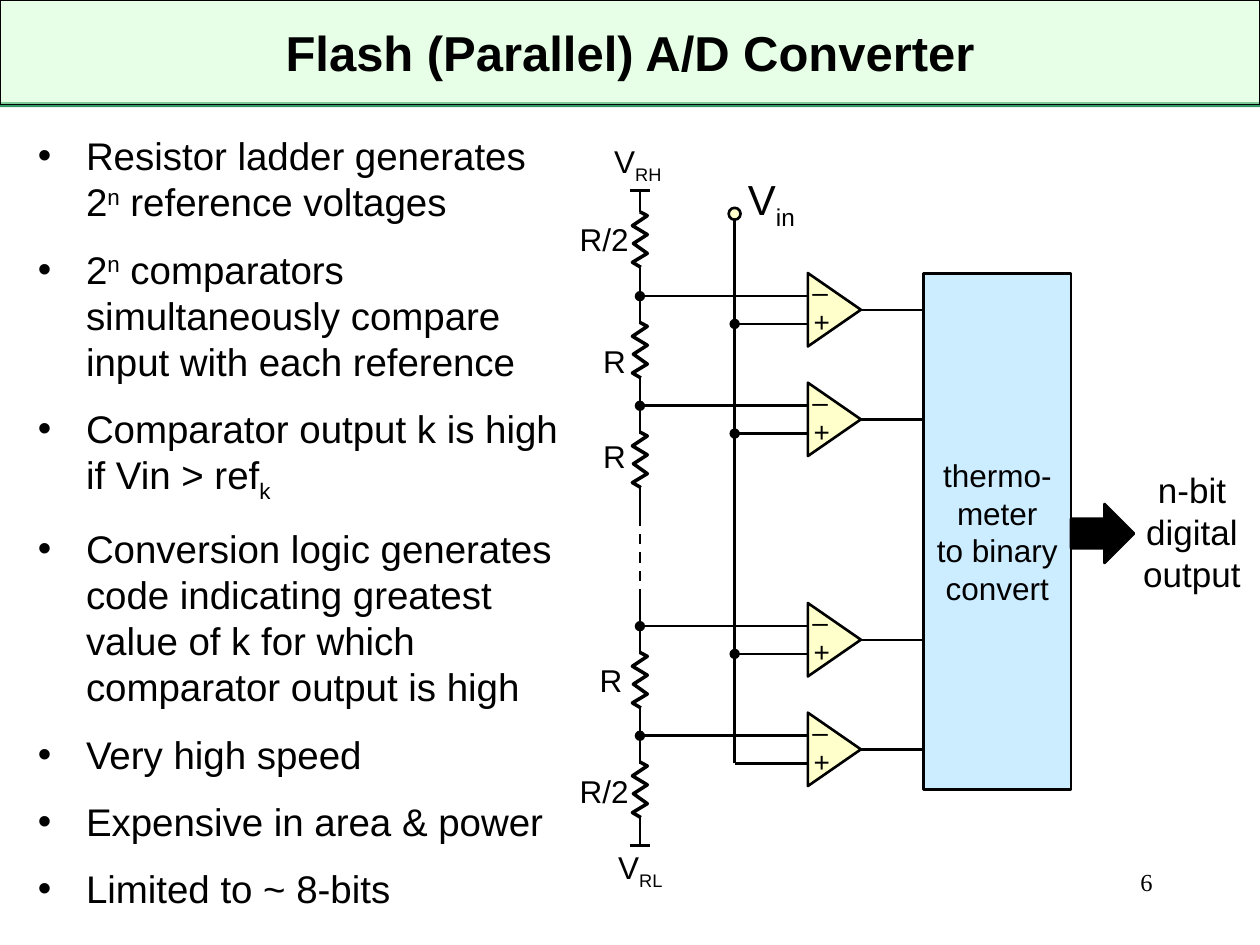
import pptx
import pptx.util
import pptx.dml.color
import pptx.enum.dml
import pptx.enum.shapes
import pptx.enum.text
import pptx.oxml
import pptx.oxml.ns
from pptx.util import Cm

SHAPE = pptx.enum.shapes.MSO_SHAPE
ALIGN = pptx.enum.text.PP_ALIGN
ANCHOR = pptx.enum.text.MSO_ANCHOR
FIT = pptx.enum.text.MSO_AUTO_SIZE
SUPER, SUB = 30000, -25000
BLACK, CREAM = "000000", "FFFFCC"
BUS_X, COMPARATOR_X, COMPARATOR_TIP, ENCODER_X = 1.91, 3.41, 4.45, 5.72
FIRST_TAP, PITCH = 2.13, 2.21
LADDER_HEIGHT = 13.2
ZIGZAG = [(0, 0), (0.15, 0.08), (-0.15, 0.28), (0.15, 0.46),
          (-0.13, 0.64), (0.15, 0.84), (-0.15, 1.02), (0.02, 1.12)]
BULLETS = [
    ["Resistor ladder generates 2", ("n", SUPER), " reference voltages"],
    ["2", ("n", SUPER), " comparators simultaneously compare input with each reference"],
    ["Comparator output k is high if Vin > ref", ("k", SUB)],
    ["Conversion logic generates code indicating greatest value of k for which "
     "comparator output is high"],
    ["Very high speed"],
    ["Expensive in area & power"],
    ["Limited to ~ 8-bits"],
]


def colour(value):
    """Turn a hex string into a colour."""
    return pptx.dml.color.RGBColor.from_string(value)


def child(parent, tag, **attributes):
    """Append a drawing element to a parent and return it."""
    element = pptx.oxml.parse_xml(f"<a:{tag} {pptx.oxml.ns.nsdecls('a')}/>")
    for name, value in attributes.items():
        element.set(name, str(value))
    parent.append(element)
    return element


def write(frame, paragraphs, size=18, font="Arial", bold=False, align=ALIGN.CENTER,
          anchor=ANCHOR.TOP, fit=FIT.SHAPE_TO_FIT_TEXT, space=0, bullet=None, indent=0.97):
    """Fill a text frame with paragraphs made of plain or (text, baseline) runs."""
    frame.word_wrap = True
    frame.auto_size = fit
    frame.vertical_anchor = anchor
    for index, runs in enumerate(paragraphs):
        para = frame.paragraphs[0] if index == 0 else frame.add_paragraph()
        if bullet:
            properties = para._p.get_or_add_pPr()
            properties.set("marL", str(Cm(indent)))
            properties.set("indent", str(-Cm(indent)))
            child(properties, "buChar", char=bullet)
        para.alignment = align
        para.space_before = pptx.util.Pt(space if index else 0)
        for run in runs:
            content, baseline = (run, 0) if isinstance(run, str) else run
            span = para.add_run()
            span.text = content
            span.font.size = pptx.util.Pt(size)
            span.font.name = font
            span.font.bold = bold
            span.font.color.rgb = colour(BLACK)
            if baseline:
                span.font._element.set("baseline", str(baseline))


def place(item, left, top, width, height):
    """Move and size an object in centimetres."""
    item.left, item.top, item.width, item.height = map(Cm, (left, top, width, height))


def label(shapes, left, top, width, height, paragraphs, **style):
    """Add a text box."""
    box = shapes.add_textbox(Cm(left), Cm(top), Cm(width), Cm(height))
    write(box.text_frame, paragraphs, **style)


def block(shapes, kind, left, top, width, height, fill, line=BLACK, weight=1.5):
    """Add a filled preset shape without a shadow."""
    shape = shapes.add_shape(kind, Cm(left), Cm(top), Cm(width), Cm(height))
    shape.shadow.inherit = False
    shape.fill.solid()
    shape.fill.fore_color.rgb = colour(fill)
    if line:
        shape.line.color.rgb = colour(line)
        shape.line.width = pptx.util.Pt(weight)
    else:
        shape.line.fill.background()
    return shape


def wire(shapes, start_x, start_y, end_x, end_y, dot=None, dashed=False):
    """Add a wire, with a junction dot at its headEnd or tailEnd."""
    line = shapes.add_connector(pptx.enum.shapes.MSO_CONNECTOR.STRAIGHT,
                                Cm(start_x), Cm(start_y), Cm(end_x), Cm(end_y))
    line.line.color.rgb = colour(BLACK)
    line.line.width = pptx.util.Pt(1.5)
    if dashed:
        line.line.dash_style = pptx.enum.dml.MSO_LINE.DASH
    if dot:
        child(line.line._get_or_add_ln(), dot, type="oval")
    child(line._element.spPr, "effectLst")


def resistor(shapes, left, top):
    """Draw a vertical zigzag that starts at the given point."""
    points = [(Cm(left + x), Cm(top + y)) for x, y in ZIGZAG]
    builder = shapes.build_freeform(*points[0])
    builder.add_line_segments(points[1:], close=False)
    shape = builder.convert_to_shape()
    shape.shadow.inherit = False
    shape.fill.background()
    shape.line.color.rgb = colour(BLACK)
    shape.line.width = pptx.util.Pt(2)


def title_band(page, left, top, width, height):
    """Draw the band behind the title and set the title."""
    rule = block(page.shapes, SHAPE.RECTANGLE, left, top + height - 0.05, width, 0.1,
                 "339966", line=None)
    band = block(page.shapes, SHAPE.RECTANGLE, left, top, width, height, "CCFFCC", weight=0.75)
    child(band.fill._xPr.solidFill[0], "alpha", val=49000)
    for position, shape in enumerate((rule, band), start=2):
        page.shapes._spTree.insert(position, shape._element)
    title = page.shapes.title
    place(title, left + 1.27, top + 0.2, width - 2.54, 1.7)
    write(title.text_frame, [["Flash (Parallel) A/D Converter"]], size=28, bold=True,
          anchor=ANCHOR.MIDDLE, fit=FIT.NONE)


def bullet_list(page, left, top, width, height):
    """Set the bulleted list in the body placeholder."""
    body = page.placeholders[1]
    place(body, left, top, width, height)
    write(body.text_frame, BULLETS, size=22, align=ALIGN.LEFT, space=12, bullet="•")


def comparator_stage(shapes, left, tap, joined):
    """Draw one comparator with its wires and the resistor below its tap."""
    triangle = block(shapes, SHAPE.ISOSCELES_TRIANGLE, left + 3.18, tap - 0.26, 1.48, 1.07, CREAM)
    triangle.rotation = 90
    resistor(shapes, left, tap + 0.53)
    wire(shapes, left, tap, left + COMPARATOR_X, tap, dot="headEnd")
    wire(shapes, left, tap - 0.56, left, tap + 0.56)
    wire(shapes, left + COMPARATOR_X, tap + 0.56, left + BUS_X, tap + 0.56,
         dot="tailEnd" if joined else None)
    wire(shapes, left + COMPARATOR_TIP, tap + 0.28, left + ENCODER_X, tap + 0.28)
    label(shapes, left + 3.08, tap + 0.05, 1.17, 0.94, [["+"]], size=16)
    label(shapes, left + 3.05, tap - 0.56, 1.17, 0.94, [["–"]], size=16)


def ladder(shapes, left, top):
    """Draw the ends, the gap and the labels of the resistor ladder."""
    bottom = top + LADDER_HEIGHT
    gap_top, gap_bottom = top + 6.55, top + 8.22
    resistor(shapes, left, top + 0.43)
    wire(shapes, left, top, left, top + 0.43)
    wire(shapes, left, gap_top - 0.56, left, gap_top)
    wire(shapes, left, gap_top, left, gap_bottom, dashed=True)
    wire(shapes, left, bottom - 0.56, left, bottom)
    for end in (top, bottom):
        wire(shapes, left - 0.21, end, left + 0.21, end)
    for x, y, width, runs in [
            (-1.67, 0.48, 1.9, ["R/2"]), (-0.99, 2.94, 0.84, ["R"]),
            (-0.99, 4.85, 0.84, ["R"]), (-1.06, 9.37, 0.84, ["R"]),
            (-1.67, 11.6, 1.9, ["R/2"]), (-0.99, -1.1, 1.9, ["V", ("RH", SUB)]),
            (-0.94, 13.13, 1.9, ["V", ("RL", SUB)])]:
        label(shapes, left + x, top + y, width, 1.02, [runs])


def encoder(shapes, left, top, width, height):
    """Draw the encoder with its output arrow."""
    box = block(shapes, SHAPE.RECTANGLE, left, top, width, height, "CCECFF")
    box.text_frame.margin_left = box.text_frame.margin_right = Cm(0.1)
    write(box.text_frame, [["thermo-meter"], ["to binary"], ["convert"]],
          anchor=ANCHOR.MIDDLE, fit=FIT.NONE)
    block(shapes, SHAPE.RIGHT_ARROW, left + width, top + 4.65, 1.27, 1.19, BLACK)
    label(shapes, left + width + 1.07, top + 3.81, 2.74, 2.82,
          [["n-bit"], ["digital"], ["output"]], size=20)


def converter(page, left, top):
    """Draw the circuit, with the top of the ladder at the given point."""
    shapes = page.shapes.add_group_shape().shapes
    for step in (0, 1, 3.01, 4.01):
        comparator_stage(shapes, left, top + FIRST_TAP + step * PITCH, joined=step < 4)
    ladder(shapes, left, top)
    wire(shapes, left + BUS_X, top + 11.55, left + BUS_X, top + 0.43)
    label(shapes, left + 1.7, top - 0.46, 1.9, 1.27, [["V", ("in", SUB)]], size=24)
    block(shapes, SHAPE.OVAL, left + BUS_X - 0.12, top + 0.35, 0.24, 0.24, CREAM)
    encoder(shapes, left + ENCODER_X, top + 1.67, 2.97, 10.41)


def main():
    """Build the deck and save it."""
    deck = pptx.Presentation()
    deck.slide_width, deck.slide_height = Cm(25.4), Cm(19.05)
    page = deck.slides.add_slide(deck.slide_layouts[1])
    title_band(page, 0, 0, 25.4, 2.11)
    bullet_list(page, 0.51, 2.54, 11.2, 3.33)
    label(page.shapes, 18.21, 17.35, 5.28, 1.27, [["6"]], size=14,
          font="Times New Roman", align=ALIGN.RIGHT, fit=FIT.NONE)
    converter(page, 12.9, 3.84)
    deck.save("out.pptx")


if __name__ == "__main__":
    main()
